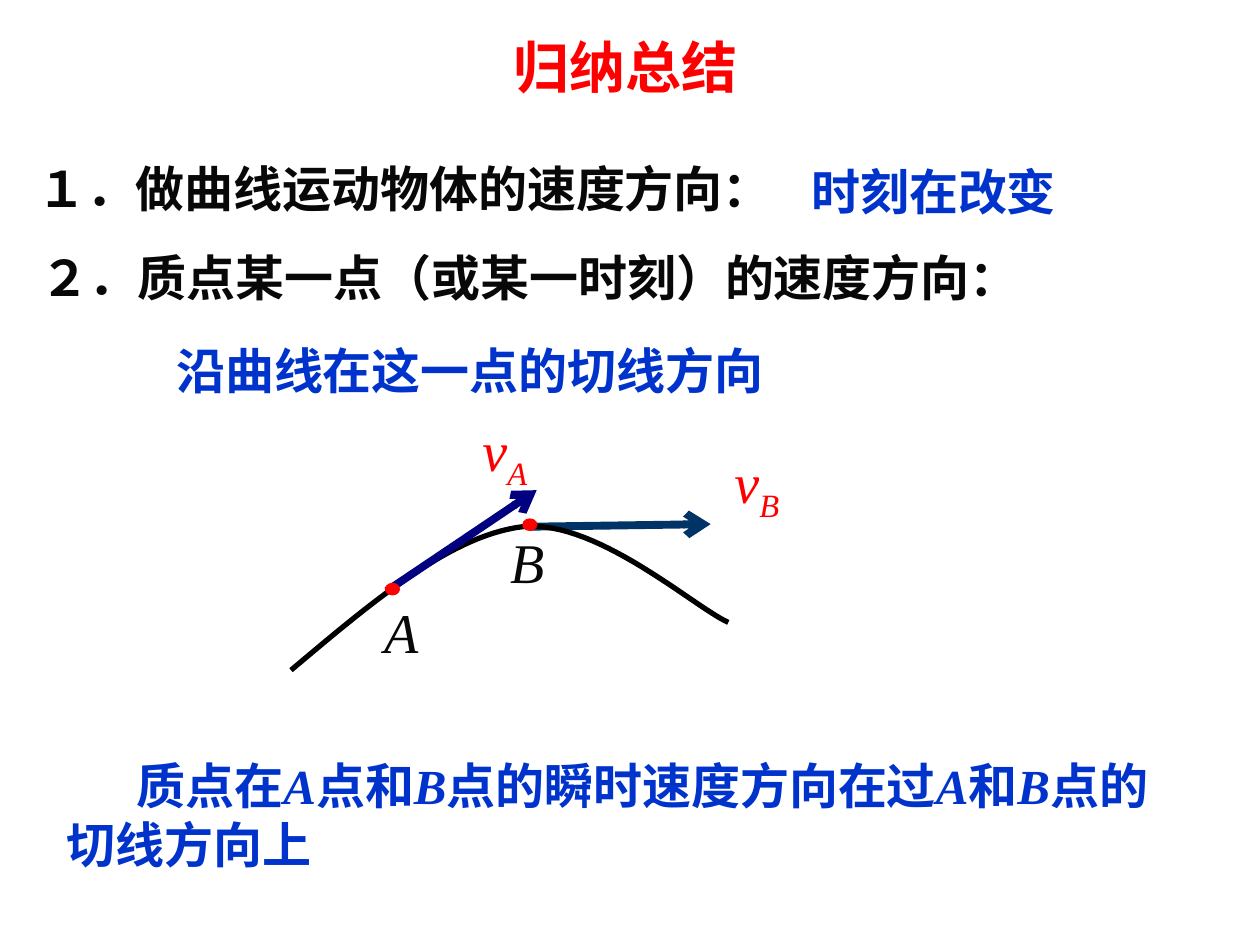
from dataclasses import dataclass

from lxml.etree import SubElement
from pptx import Presentation
from pptx.dml.color import RGBColor
from pptx.enum.shapes import MSO_CONNECTOR as Connector, MSO_SHAPE as Shape
from pptx.enum.text import MSO_ANCHOR as Anchor, PP_ALIGN as Align
from pptx.oxml.ns import qn
from pptx.util import Pt

COLORS = {"red": "FF0000", "blue": "0033CC", "ink": "080808", "black": "000000",
          "navy": "000080", "teal": "003366"}
SERIF = "Times New Roman"
HEADING = {"size": Pt(32), "name": SERIF, "bold": True}
BODY = {"size": Pt(28), "name": SERIF, "bold": True}
SYMBOL = {"size": Pt(32), "name": SERIF, "italic": True}


@dataclass(frozen=True)
class Label:
    """A text box; each run is a text with the formats that differ from fmt."""
    x: float
    y: float
    w: float
    h: float
    runs: tuple
    color: str
    fmt: dict
    wrap: bool = True
    indent: float = 0


@dataclass(frozen=True)
class Vector:
    start: tuple[float, float]
    end: tuple[float, float]
    color: str


@dataclass(frozen=True)
class Bezier:
    start: tuple[float, float]
    control_1: tuple[float, float]
    control_2: tuple[float, float]
    end: tuple[float, float]

    def at(self, t: float) -> tuple[int, int]:
        weights = ((1 - t) ** 3, 3 * t * (1 - t) ** 2, 3 * t ** 2 * (1 - t), t ** 3)
        points = (self.start, self.control_1, self.control_2, self.end)
        return tuple(Pt(sum(w * p[axis] for w, p in zip(weights, points)))
                     for axis in (0, 1))


def rgb(color: str) -> RGBColor:
    return RGBColor.from_string(COLORS[color])


def place(sp, x: float, y: float, w: float, h: float) -> None:
    sp.left, sp.top, sp.width, sp.height = Pt(x), Pt(y), Pt(w), Pt(h)


def add_run(p, text: str, color: str, fmt: dict) -> None:
    """Add a run; the key "baseline" is a shift in thousandths of a percent."""
    r = p.add_run()
    r.text = text
    r.font.color.rgb = rgb(color)
    for name, value in fmt.items():
        if name == "baseline":
            r._r.get_or_add_rPr().set(name, str(value))
        else:
            setattr(r.font, name, value)


def add_label(s, label: Label) -> None:
    sp = s.shapes.add_textbox(Pt(label.x), Pt(label.y), Pt(label.w), Pt(label.h))
    tf = sp.text_frame
    tf.word_wrap = label.wrap
    p = tf.paragraphs[0]
    if label.indent:
        p._p.get_or_add_pPr().set("indent", str(Pt(label.indent)))
    for text, extra in label.runs:
        add_run(p, text, label.color, label.fmt | extra)


def add_vector(s, vector: Vector) -> None:
    ends = [Pt(v) for v in vector.start + vector.end]
    line = s.shapes.add_connector(Connector.STRAIGHT, *ends)
    line.line.color.rgb = rgb(vector.color)
    line.line.width = Pt(4.5)
    SubElement(line.line._get_or_add_ln(), qn("a:tailEnd"), type="arrow")
    SubElement(line._element.spPr, qn("a:effectLst"))


def add_curve(s, pieces: list[Bezier], steps: int = 30) -> None:
    builder = s.shapes.build_freeform(*pieces[0].at(0))
    builder.add_line_segments(
        [piece.at(i / steps) for piece in pieces for i in range(1, steps + 1)],
        close=False)
    sp = builder.convert_to_shape()
    sp.shadow.inherit = False
    sp.fill.background()
    sp.line.color.rgb = rgb("black")
    sp.line.width = Pt(3)


def add_dot(s, x: float, y: float) -> None:
    sp = s.shapes.add_shape(Shape.OVAL, Pt(x), Pt(y), Pt(7.9), Pt(6.5))
    sp.shadow.inherit = False
    sp.fill.solid()
    sp.fill.fore_color.rgb = rgb("red")
    sp.line.color.rgb = rgb("red")
    sp.line.width = Pt(0.75)


def fill_placeholders(s) -> None:
    title, body = s.placeholders
    place(title, 195.8, 15.1, 323.3, 45.4)
    title.text_frame.vertical_anchor = Anchor.MIDDLE
    p = title.text_frame.paragraphs[0]
    p.alignment = Align.CENTER
    add_run(p, "归纳总结", "red", HEADING)

    place(body, 14.4, 87.1, 447.8, 39.6)
    p = body.text_frame.paragraphs[0]
    p.alignment = Align.JUSTIFY
    p.space_before = Pt(0)
    pPr = p._p.get_or_add_pPr()
    pPr.set("marL", str(Pt(27)))
    pPr.set("indent", str(Pt(-27)))
    SubElement(pPr, qn("a:buNone"))
    add_run(p, "１．做曲线运动物体的速度方向：", "ink", BODY | {"name": "Arial"})


SUBSCRIPT = {"baseline": -25000}
ITALIC = {"bold": True, "italic": True}
CONCLUSION = (("质点在", {}), ("A", ITALIC), ("点和", {}), ("B", ITALIC),
              ("点的瞬时速度方向在过", {}), ("A", ITALIC), ("和", {}),
              ("B", ITALIC), ("点的切线方向上", {}))
LABELS = [
    Label(456.5, 88.6, 154.8, 41, (("时刻在改变", {}),), "blue", BODY, wrap=False),
    Label(15.8, 138.2, 574.6, 41, (("２．质点某一点（或某一时刻）的速度方向：", {}),),
          "ink", BODY, wrap=False),
    Label(93.6, 190.8, 396.7, 41, (("沿曲线在这一点的切线方向", {}),), "blue", BODY),
    Label(268.6, 234, 78.5, 45.4, (("v", {}), ("A", SUBSCRIPT)), "red", SYMBOL),
    Label(412.6, 252, 78.5, 45.4, (("v", {}), ("B", SUBSCRIPT)), "red", SYMBOL),
    Label(212.4, 337.7, 62.6, 45.4, (("A", {}),), "ink", SYMBOL),
    Label(284.4, 298.1, 46.8, 45.4, (("B", {}),), "ink", SYMBOL),
    Label(31, 428.4, 646.6, 74.2, CONCLUSION, "blue", BODY, indent=40),
]
TRAJECTORY = [
    Bezier((166.3, 383), (211.7, 344.9), (257, 306), (298.8, 301)),
    Bezier((298.8, 301), (340.6, 296.6), (396.7, 347), (416.2, 355.7)),
]
VELOCITY_A = Vector((221, 337.7), (306.7, 280.1), "navy")
VELOCITY_B = Vector((302.4, 301), (406.1, 299.5), "teal")
DOTS = [(220.3, 333.4), (298.8, 296.6)]


def main() -> None:
    prs = Presentation()
    prs.slide_width, prs.slide_height = Pt(720), Pt(540)
    s = prs.slides.add_slide(prs.slide_layouts[1])
    fill_placeholders(s)
    add_vector(s, VELOCITY_B)
    add_curve(s, TRAJECTORY)
    add_vector(s, VELOCITY_A)
    for x, y in DOTS:
        add_dot(s, x, y)
    for label in LABELS:
        add_label(s, label)
    prs.save("out.pptx")


if __name__ == "__main__":
    main()
